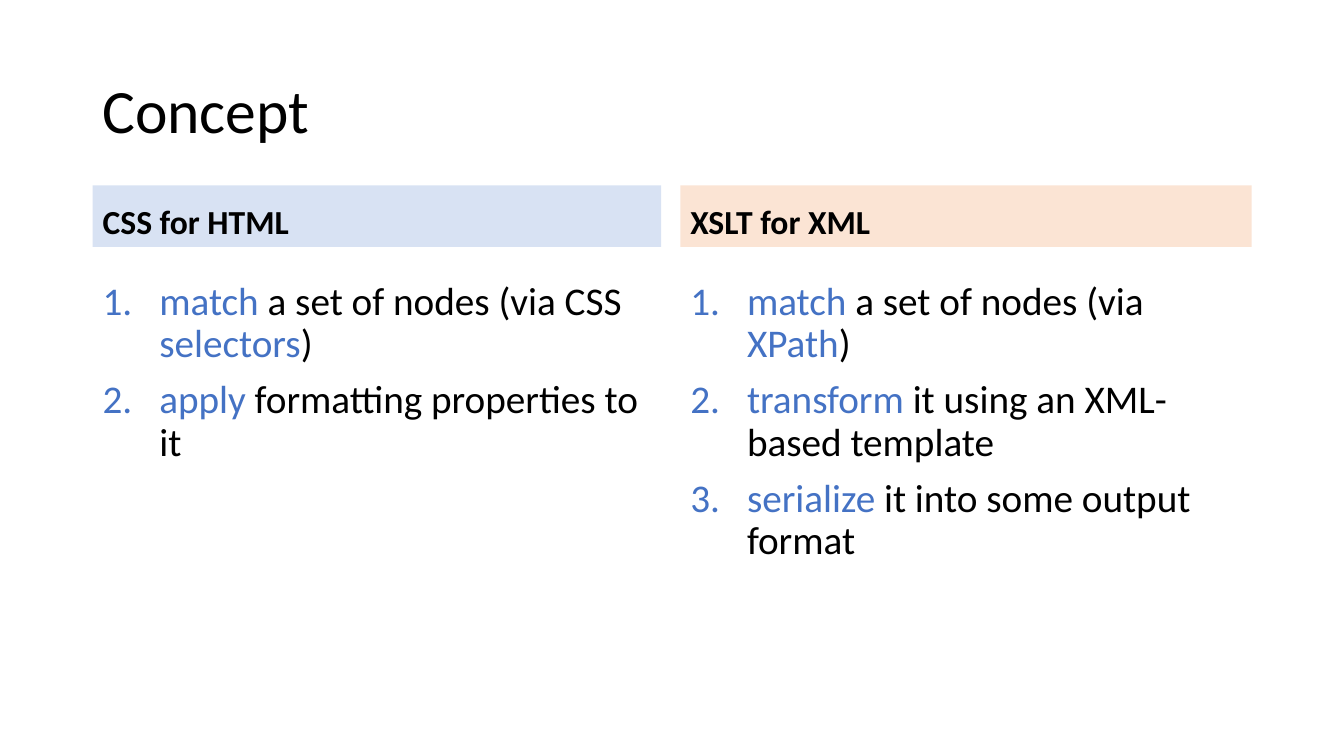
from lxml import etree
from pptx import Presentation
from pptx.dml.color import RGBColor
from pptx.enum.shapes import MSO_SHAPE
from pptx.enum.text import MSO_ANCHOR, PP_ALIGN
from pptx.oxml.ns import qn
from pptx.util import Pt

RECTANGLE = MSO_SHAPE.RECTANGLE
TOP, MIDDLE, BOTTOM = MSO_ANCHOR.TOP, MSO_ANCHOR.MIDDLE, MSO_ANCHOR.BOTTOM
LEFT_ALIGN = PP_ALIGN.LEFT
BLACK, BLUE = "000000", "4472C4"
INDENT = Pt(40.5)


def color(hex_string):
    return RGBColor.from_string(hex_string)


def style(para, size, bold=False):
    para.alignment = LEFT_ALIGN
    para.line_spacing = 0.9
    para.font.name = "Calibri"
    para.font.size = Pt(size)
    para.font.bold = bold
    para.font.color.rgb = color(BLACK)


deck = Presentation()
deck.slide_width, deck.slide_height = Pt(960), Pt(540)
page = deck.slides.add_slide(deck.slide_layouts[6])

# Title
title = page.shapes.add_textbox(Pt(66), Pt(28.75), Pt(828), Pt(104.4))
title.text_frame.word_wrap = True
title.text_frame.vertical_anchor = MIDDLE
title.text_frame.text = "Concept"
style(title.text_frame.paragraphs[0], 44)

# Columns: left, width, header, header fill, steps of (text, highlighted) runs
columns = [
    (66.25, 406.1, "CSS for HTML", "D8E2F3", [
        [("match", True), (" a set of nodes (via CSS ", False),
         ("selectors", True), (")", False)],
        [("apply", True), (" formatting properties to it", False)],
    ]),
    (486, 408, "XSLT for XML", "FBE4D4", [
        [("match", True), (" a set of nodes (via ", False),
         ("XPath", True), (")", False)],
        [("transform", True), (" it using an XML-based template", False)],
        [("serialize", True), (" it into some output format", False)],
    ]),
]

for left, width, heading, fill, steps in columns:
    # Header band
    band = page.shapes.add_shape(RECTANGLE, Pt(left), Pt(132.5), Pt(width), Pt(43.9))
    band.shadow.inherit = False
    band.fill.solid()
    band.fill.fore_color.rgb = color(fill)
    band.line.fill.background()
    band.text_frame.word_wrap = True
    band.text_frame.vertical_anchor = BOTTOM
    band.text_frame.text = heading
    style(band.text_frame.paragraphs[0], 24, bold=True)

    # Numbered steps
    box = page.shapes.add_textbox(Pt(left), Pt(197.3), Pt(width), Pt(290.2))
    frame = box.text_frame
    frame.word_wrap = True
    frame.vertical_anchor = TOP
    for number, step in enumerate(steps):
        para = frame.add_paragraph() if number else frame.paragraphs[0]
        para.space_before = Pt(10 if number else 0)
        properties = para._p.get_or_add_pPr()
        properties.set("marL", str(INDENT))
        properties.set("indent", str(-INDENT))
        bullet_color = etree.SubElement(properties, qn("a:buClr"))
        etree.SubElement(bullet_color, qn("a:srgbClr"), val=BLUE)
        etree.SubElement(properties, qn("a:buFont"), typeface="+mj-lt")
        etree.SubElement(properties, qn("a:buAutoNum"), type="arabicPeriod")
        style(para, 28)
        for text, highlighted in step:
            span = para.add_run()
            span.text = text
            span.font.color.rgb = color(BLUE if highlighted else BLACK)

deck.save("out.pptx")
